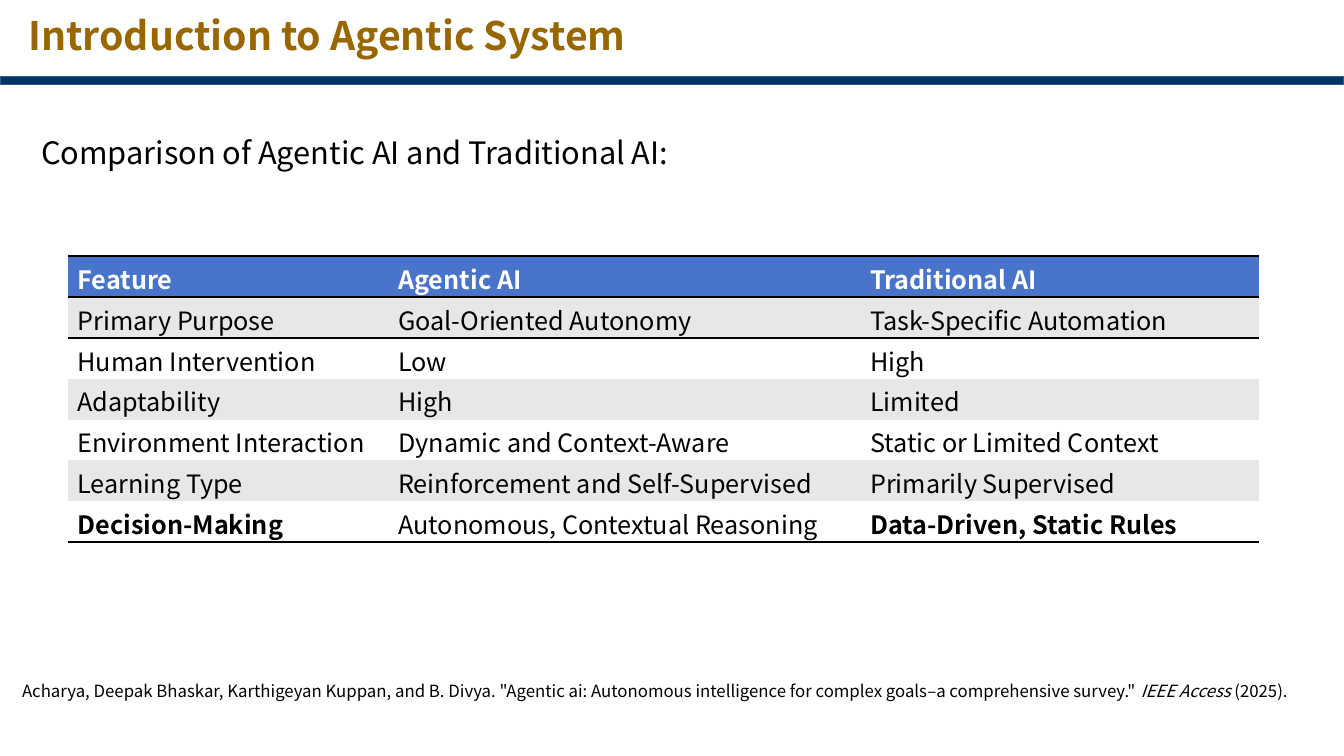
from lxml import etree
from pptx import Presentation
from pptx.dml.color import RGBColor
from pptx.enum import shapes, text
from pptx.oxml import ns
from pptx.util import Inches, Pt

FONT = "Noto Sans CJK SC"
BLACK, WHITE, GREY = "000000", "FFFFFF", "E7E7E7"
TOP, MIDDLE = text.MSO_ANCHOR.TOP, text.MSO_ANCHOR.MIDDLE


def rgb(value):
    return RGBColor.from_string(value)


def write(frame, *parts, size=18, color=BLACK, bold=False, italics=(),
          align=text.PP_ALIGN.LEFT, spacing=None):
    """Fill the first paragraph with one run per part."""
    paragraph = frame.paragraphs[0]
    paragraph.alignment = align
    if spacing:
        paragraph.line_spacing = spacing
    for part in parts:
        run = paragraph.add_run()
        run.text = part
        run.font.name = FONT
        run.font.size = Pt(size)
        run.font.bold = bold
        run.font.italic = part in italics
        run.font.color.rgb = rgb(color)


prs = Presentation()
prs.slide_width, prs.slide_height = Inches(13.33), Inches(7.5)
slide = prs.slides.add_slide(prs.slide_layouts[5])

# Title, subtitle and citation boxes
title = slide.shapes.title
subtitle = slide.shapes.add_textbox(0, 0, 0, 0)
citation = slide.shapes.add_textbox(0, 0, 0, 0)
for box, place, anchor in (
    (title, (0.18, 0.11, 6.4, 0.57), TOP),
    (subtitle, (0.31, 1.12, 12.53, 0.59), MIDDLE),
    (citation, (0.12, 6.75, 13.21, 0.3), TOP),
):
    box.left, box.top, box.width, box.height = map(Inches, place)
    frame = box.text_frame
    frame.word_wrap = True
    frame.auto_size = text.MSO_AUTO_SIZE.NONE
    frame.vertical_anchor = anchor
    frame.margin_top = frame.margin_bottom = 0

write(title.text_frame, "Introduction to Agentic System",
      size=28, color="996600", bold=True)
write(subtitle.text_frame, "Comparison of Agentic AI and Traditional AI:",
      size=22, align=text.PP_ALIGN.JUSTIFY, spacing=1.5)
write(citation.text_frame,
      "Acharya, Deepak Bhaskar, Karthigeyan Kuppan, and B. Divya. "
      '"Agentic ai: Autonomous intelligence for complex goals–a comprehensive survey." ',
      "IEEE Access", " (2025).", size=12, italics=("IEEE Access",))

# Rule under the title
rule = slide.shapes.add_shape(shapes.MSO_SHAPE.RECTANGLE, 0, Inches(0.76),
                              Inches(13.33), Inches(0.08))
rule.shadow.inherit = False
rule.fill.solid()
rule.fill.fore_color.rgb = rgb("003366")
rule.line.color.rgb = rgb("355696")
rule.line.width = Pt(1)

# Comparison table
features = [
    ("Feature", "Agentic AI", "Traditional AI"),
    ("Primary Purpose", "Goal-Oriented Autonomy", "Task-Specific Automation"),
    ("Human Intervention", "Low", "High"),
    ("Adaptability", "High", "Limited"),
    ("Environment Interaction", "Dynamic and Context-Aware", "Static or Limited Context"),
    ("Learning Type", "Reinforcement and Self-Supervised", "Primarily Supervised"),
    ("Decision-Making", "Autonomous, Contextual Reasoning", "Data-Driven, Static Rules"),
]
last = len(features) - 1
edges = {0: ("lnT", "lnB"), 1: ("lnT",), last: ("lnB",)}
bold_cells = {(0, 0), (0, 1), (0, 2), (last, 0), (last, 2)}

comparison = slide.shapes.add_table(len(features), 3, Inches(0.67), Inches(2.54),
                                    Inches(11.82), Inches(2.84)).table
# Plain table style without grid lines
style = comparison._tbl.tblPr.find(ns.qn("a:tableStyleId"))
style.text = "{2D5ABB26-0587-4C30-8999-92F81FD0307C}"
for column, width in zip(comparison.columns, (3.18, 4.68, 3.96)):
    column.width = Inches(width)

for r, feature in enumerate(features):
    for c, entry in enumerate(feature):
        cell = comparison.cell(r, c)
        cell.margin_left = cell.margin_right = Inches(0.1)
        cell.margin_top, cell.margin_bottom = Inches(0.04), 0
        cell.vertical_anchor = TOP
        # Borders come before the fill in the cell properties
        for edge in edges.get(r, ()):
            line = etree.SubElement(cell._tc.get_or_add_tcPr(), ns.qn(f"a:{edge}"),
                                    w=str(Pt(2)))
            fill = etree.SubElement(line, ns.qn("a:solidFill"))
            etree.SubElement(fill, ns.qn("a:srgbClr"), val=BLACK)
        cell.fill.solid()
        cell.fill.fore_color.rgb = rgb("4874CB" if r == 0 else GREY if r % 2 else WHITE)
        write(cell.text_frame, entry, color=BLACK if r else WHITE,
              bold=(r, c) in bold_cells)

prs.save("out.pptx")
